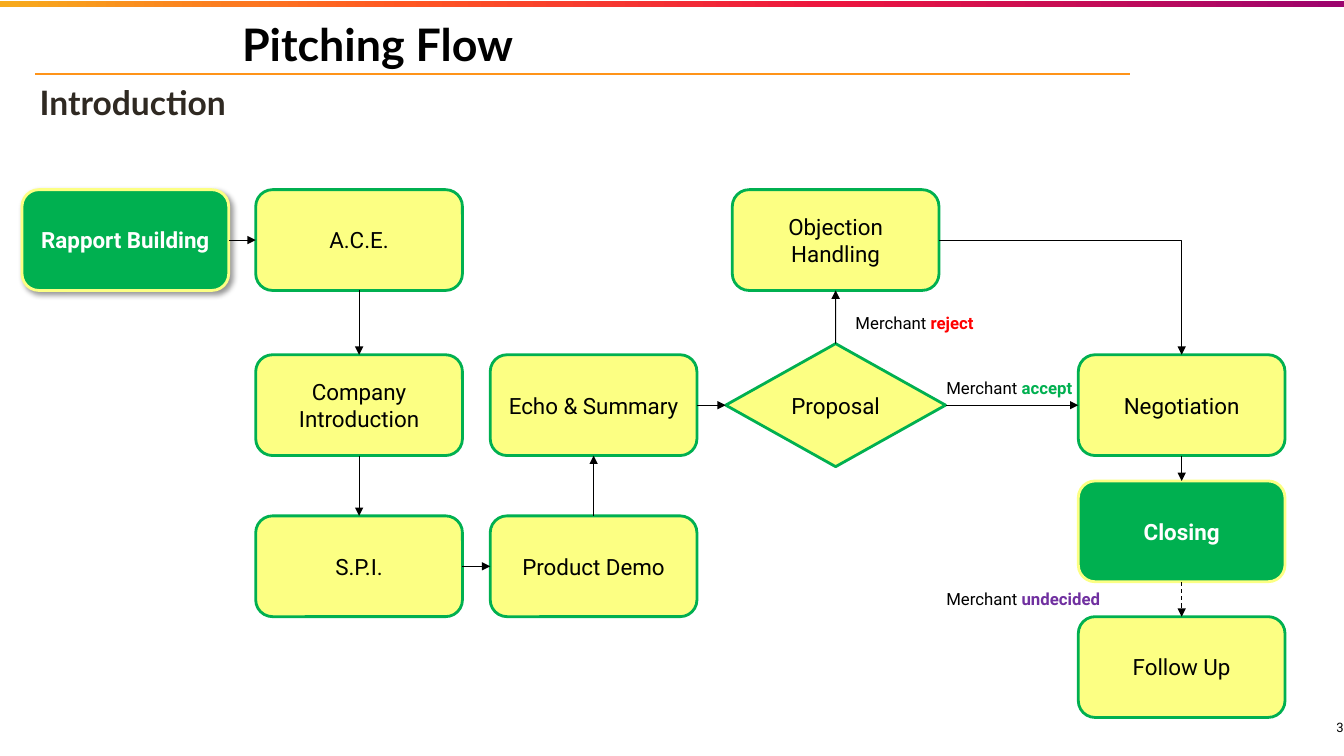
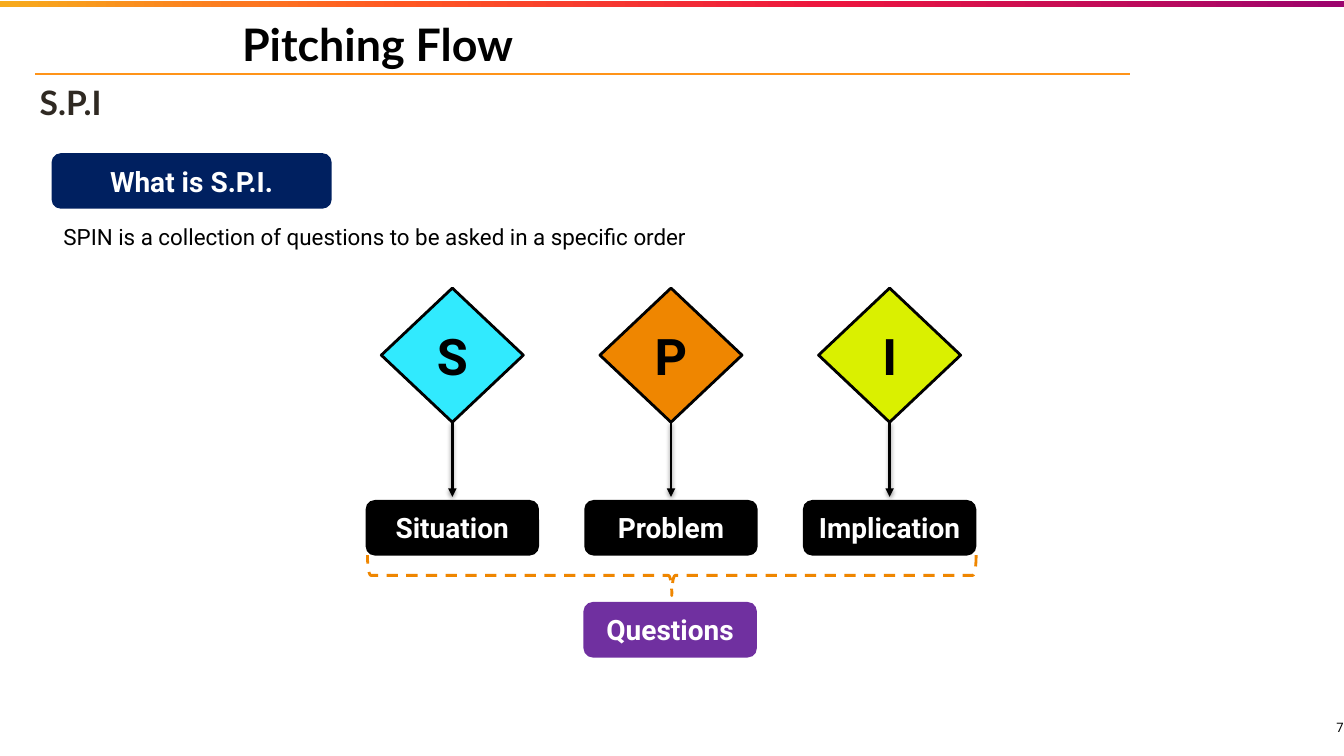
from lxml import etree
from pptx import Presentation
from pptx.dml.color import RGBColor
from pptx.enum.dml import MSO_LINE
from pptx.enum.shapes import MSO_CONNECTOR, MSO_SHAPE
from pptx.enum.text import MSO_ANCHOR, PP_ALIGN
from pptx.oxml.ns import qn
from pptx.util import Cm, Pt

ROUNDED, DECISION = MSO_SHAPE.ROUNDED_RECTANGLE, MSO_SHAPE.FLOWCHART_DECISION
DIAMOND, BRACE, RECTANGLE = MSO_SHAPE.DIAMOND, MSO_SHAPE.RIGHT_BRACE, MSO_SHAPE.RECTANGLE
STRAIGHT, ELBOW = MSO_CONNECTOR.STRAIGHT, MSO_CONNECTOR.ELBOW
DASH = MSO_LINE.DASH
LEFT, CENTER, RIGHT = PP_ALIGN.LEFT, PP_ALIGN.CENTER, PP_ALIGN.RIGHT
TOP_ANCHOR, MIDDLE = MSO_ANCHOR.TOP, MSO_ANCHOR.MIDDLE

BLACK = RGBColor(0x00, 0x00, 0x00)
WHITE = RGBColor(0xFF, 0xFF, 0xFF)
BROWN = RGBColor(0x2F, 0x29, 0x22)
AMBER = RGBColor(0xFF, 0x94, 0x19)
ORANGE = RGBColor(0xEF, 0x86, 0x00)
GREEN = RGBColor(0x00, 0xB0, 0x50)
YELLOW = RGBColor(0xFC, 0xFF, 0x83)
RED = RGBColor(0xFF, 0x00, 0x00)
PURPLE = RGBColor(0x70, 0x30, 0xA0)
NAVY = RGBColor(0x00, 0x20, 0x60)
CYAN = RGBColor(0x31, 0xEA, 0xFE)
LIME = RGBColor(0xDA, 0xF0, 0x00)
BAND_STOPS = [(0, RGBColor(0xF7, 0xAB, 0x1D)), (30, RGBColor(0xFF, 0x57, 0x22)),
              (62, RGBColor(0xEC, 0x15, 0x3F)), (100, RGBColor(0x9C, 0x03, 0x6D))]
HEADING_FONT, BODY_FONT = "Lato", "Roboto"

# Connection sites of boxes and diamonds
TOP_SITE, LEFT_SITE, BOTTOM_SITE, RIGHT_SITE = range(4)

# Content; all positions are in centimetres
PAGE_WIDTH, PAGE_HEIGHT = 33.87, 19.05
TITLE = "Pitching Flow"
COLUMNS = [3.16, 9.05, 14.96, 21.06, 29.78]   # centres of the flow columns
ROWS = [6.05, 10.21, 14.27]                   # centres of the flow rows
CLOSING_ROW, FOLLOW_UP_ROW = 13.39, 16.81
STEP_SIZE, PROPOSAL_SIZE = (5.21, 2.54), (5.54, 3.1)
STEPS = [
    ("Rapport Building", COLUMNS[0], ROWS[0]),
    ("A.C.E.", COLUMNS[1], ROWS[0]),
    ("Company Introduction", COLUMNS[1], ROWS[1]),
    ("S.P.I.", COLUMNS[1], ROWS[2]),
    ("Product Demo", COLUMNS[2], ROWS[2]),
    ("Echo & Summary", COLUMNS[2], ROWS[1]),
    ("Proposal", COLUMNS[3], ROWS[1]),
    ("Objection Handling", COLUMNS[3], ROWS[0]),
    ("Negotiation", COLUMNS[4], ROWS[1]),
    ("Closing", COLUMNS[4], CLOSING_ROW),
    ("Follow Up", COLUMNS[4], FOLLOW_UP_ROW),
]
MILESTONES = ("Rapport Building", "Closing")
FLOWS = [
    ("Rapport Building", RIGHT_SITE, "A.C.E.", LEFT_SITE),
    ("A.C.E.", BOTTOM_SITE, "Company Introduction", TOP_SITE),
    ("Company Introduction", BOTTOM_SITE, "S.P.I.", TOP_SITE),
    ("S.P.I.", RIGHT_SITE, "Product Demo", LEFT_SITE),
    ("Product Demo", TOP_SITE, "Echo & Summary", BOTTOM_SITE),
    ("Echo & Summary", RIGHT_SITE, "Proposal", LEFT_SITE),
    ("Proposal", TOP_SITE, "Objection Handling", BOTTOM_SITE),
    ("Proposal", RIGHT_SITE, "Negotiation", LEFT_SITE),
    ("Objection Handling", RIGHT_SITE, "Negotiation", TOP_SITE),
    ("Negotiation", BOTTOM_SITE, "Closing", TOP_SITE),
    ("Closing", BOTTOM_SITE, "Follow Up", TOP_SITE),
]
OUTCOMES = [("accept", GREEN, 23.6, 9.4), ("reject", RED, 21.31, 7.75),
            ("undecided", PURPLE, 23.6, 14.71)]

QUESTION_TYPES = [("S", "Situation", CYAN), ("P", "Problem", ORANGE),
                  ("I", "Implication", LIME)]
FIRST_TYPE, TYPE_STEP = 11.4, 5.51            # centres of the question types
SPI_NOTE = "SPIN is a collection of questions to be asked in a specific order"


def style(para, size, color, bold=False, align=LEFT, font=BODY_FONT):
    para.alignment = align
    para.font.name = font
    para.font.size = Pt(size)
    para.font.bold = bold
    para.font.color.rgb = color


def add_text(page, text, left, top, width, height, size, color=BLACK, bold=False,
             align=LEFT, font=BODY_FONT, insets=(0.25, 0.13), anchor=MIDDLE):
    box = page.shapes.add_textbox(Cm(left), Cm(top), Cm(width), Cm(height))
    frame = box.text_frame
    frame.word_wrap = True
    frame.vertical_anchor = anchor
    frame.margin_left = frame.margin_right = Cm(insets[0])
    frame.margin_top = frame.margin_bottom = Cm(insets[1])
    frame.text = text
    style(frame.paragraphs[0], size, color, bold, align, font)
    return frame.paragraphs[0]


def add_box(page, kind, center_x, center_y, size, fill=None, line=None, dash=None):
    width, height = size
    box = page.shapes.add_shape(kind, Cm(center_x - width / 2), Cm(center_y - height / 2),
                                Cm(width), Cm(height))
    box.shadow.inherit = False
    if fill is None:
        box.fill.background()
    else:
        box.fill.solid()
        box.fill.fore_color.rgb = fill
    if line is None:
        box.line.fill.background()
    else:
        box.line.color.rgb = line
        box.line.width = Pt(2)
        if dash:
            box.line.dash_style = dash
    return box


def add_label_box(page, text, size, color, bold, *placement, **look):
    box = add_box(page, *placement, **look)
    box.text_frame.word_wrap = True
    box.text_frame.vertical_anchor = MIDDLE
    box.text_frame.text = text
    style(box.text_frame.paragraphs[0], size, color, bold, CENTER)
    return box


def add_line(page, start, end, color, width, kind=STRAIGHT, arrow=False):
    line = page.shapes.add_connector(kind, *(Cm(value) for value in start + end))
    line.line.color.rgb = color
    line.line.width = Pt(width)
    properties = line._element.spPr
    if arrow:
        etree.SubElement(properties.find(qn("a:ln")), qn("a:tailEnd"), type="triangle")
    etree.SubElement(properties, qn("a:effectLst"))
    return line


def add_shadow(shape, opacity, blur, distance, angle):
    effects = shape._element.spPr.find(qn("a:effectLst"))
    shadow = etree.SubElement(effects, qn("a:outerShdw"), blurRad=str(Pt(blur)),
                              dist=str(Pt(distance)), dir=str(angle * 60000),
                              algn="ctr", rotWithShape="0")
    color = etree.SubElement(shadow, qn("a:srgbClr"), val=str(BLACK))
    etree.SubElement(color, qn("a:alpha"), val=str(opacity * 1000))


def add_band(page):
    band = add_box(page, RECTANGLE, PAGE_WIDTH / 2, 0.1, (PAGE_WIDTH, 0.15), fill=AMBER)
    band.fill.gradient()
    band.fill.gradient_angle = 0
    stops = band._element.spPr.find(qn("a:gradFill")).find(qn("a:gsLst"))
    for stop in list(stops):
        stops.remove(stop)
    for position, color in BAND_STOPS:
        stop = etree.SubElement(stops, qn("a:gs"), pos=str(position * 1000))
        etree.SubElement(stop, qn("a:srgbClr"), val=str(color))


def add_page(deck, subtitle, number):
    page = deck.slides.add_slide(deck.slide_layouts[6])
    add_band(page)
    add_line(page, (0.89, 1.86), (28.47, 1.86), AMBER, 1.5)
    add_text(page, TITLE, 6.02, 0.13, 21.49, 1.96, 32, bold=True,
             font=HEADING_FONT, insets=(0.08, 0.08))
    add_text(page, subtitle, 0.92, 2.07, 27.35, 1.02, 24, BROWN, True,
             font=HEADING_FONT, insets=(0.08, 0.08))
    add_text(page, number, 31.83, 17.6, 2.03, 1.45, 9.3, align=RIGHT, insets=(0, 0))
    return page


def build_flow(deck):
    page = add_page(deck, "Introduction", "3")

    # Steps
    boxes = {}
    for name, x, y in STEPS:
        milestone = name in MILESTONES
        kind, size = (DECISION, PROPOSAL_SIZE) if name == "Proposal" else (ROUNDED, STEP_SIZE)
        fill, line = (GREEN, YELLOW) if milestone else (YELLOW, GREEN)
        boxes[name] = add_label_box(page, name, 16, WHITE if milestone else BLACK, milestone,
                                    kind, x, y, size, fill=fill, line=line)
    add_shadow(boxes["Rapport Building"], 40, 4, 3, 45)

    # Arrows
    for source, source_site, target, target_site in FLOWS:
        bent = (source_site, target_site) == (RIGHT_SITE, TOP_SITE)
        arrow = add_line(page, (0, 0), (0, 0), BLACK, 0.75, ELBOW if bent else STRAIGHT, True)
        arrow.begin_connect(boxes[source], source_site)
        arrow.end_connect(boxes[target], target_site)
        if bent:
            arrow._element.spPr.find(qn("a:prstGeom")).set("prst", "bentConnector2")
        if target == "Follow Up":
            arrow.line.dash_style = DASH

    # Merchant outcomes
    for outcome, color, left, top in OUTCOMES:
        para = add_text(page, "Merchant ", left, top, 4.4, 0.77, 12, anchor=TOP_ANCHOR)
        span = para.add_run()
        span.text = outcome
        span.font.bold = True
        span.font.color.rgb = color


def build_spi(deck):
    page = add_page(deck, "S.P.I", "7")
    tag_size = (4.37, 1.4)
    middle = FIRST_TYPE + TYPE_STEP

    # Definition
    add_label_box(page, "What is S.P.I.", 20, WHITE, True,
                  ROUNDED, 4.83, 4.56, (7.06, 1.4), fill=NAVY)
    add_text(page, SPI_NOTE, 1.35, 5.49, 18.39, 0.94, 16, anchor=TOP_ANCHOR)

    # Question types
    for index, (letter, name, color) in enumerate(QUESTION_TYPES):
        x = FIRST_TYPE + index * TYPE_STEP
        add_label_box(page, letter, 36, BLACK, True,
                      DIAMOND, x, 8.95, (3.58, 3.38), fill=color, line=BLACK)
        arrow = add_line(page, (x, 10.64), (x, 12.52), BLACK, 2, arrow=True)
        add_shadow(arrow, 38, 3.1, 1.6, 90)
        add_label_box(page, name, 20, WHITE, True, ROUNDED, x, 13.3, tag_size, fill=BLACK)

    # Summary brace
    brace = add_box(page, BRACE, middle + 0.02, 14.5, (1.02, 15.34), line=ORANGE, dash=DASH)
    brace.rotation = 90
    add_label_box(page, "Questions", 20, WHITE, True,
                  ROUNDED, middle - 0.02, 15.87, tag_size, fill=PURPLE)


def main():
    deck = Presentation()
    deck.slide_width, deck.slide_height = Cm(PAGE_WIDTH), Cm(PAGE_HEIGHT)
    build_flow(deck)
    build_spi(deck)
    deck.save("out.pptx")


if __name__ == "__main__":
    main()
